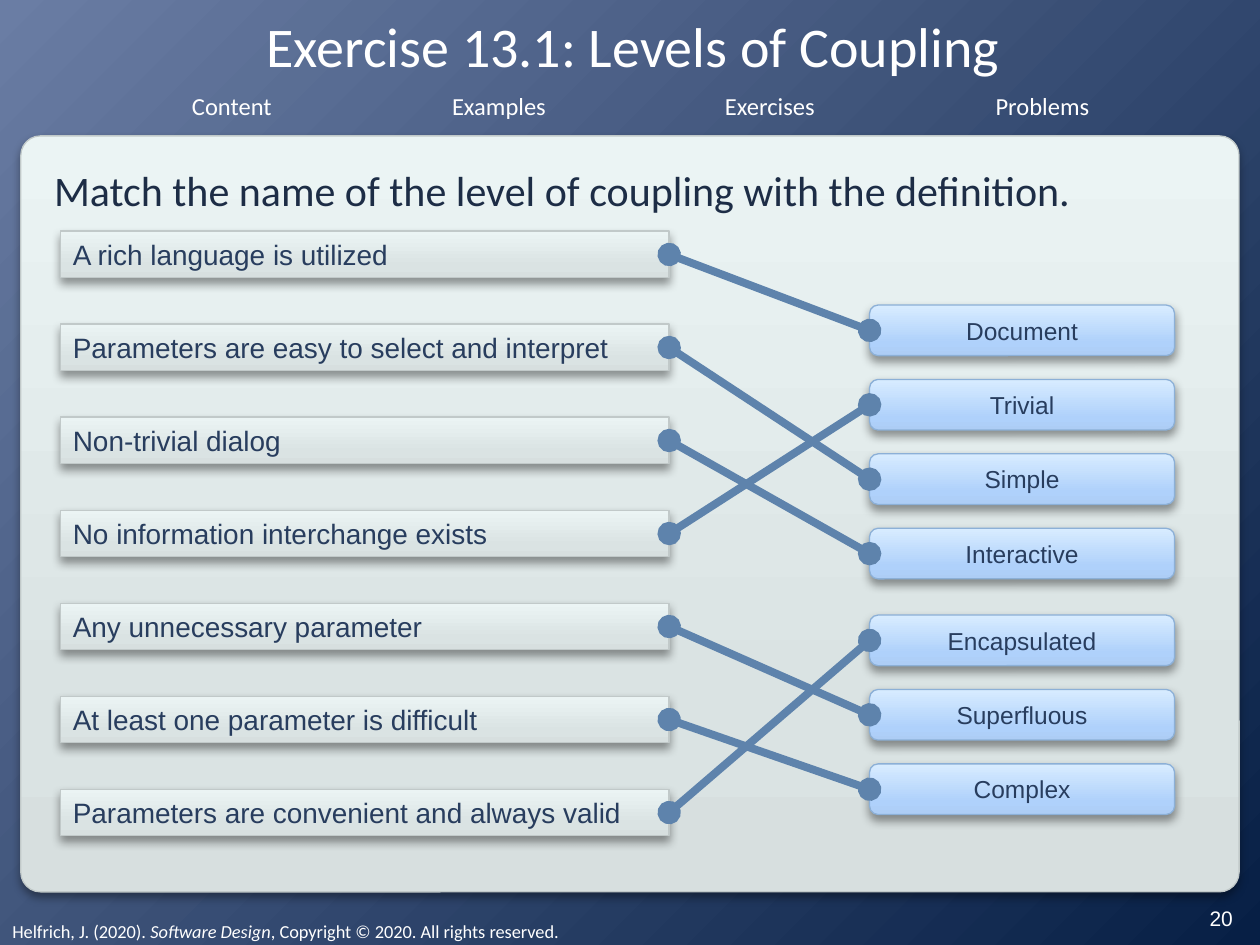
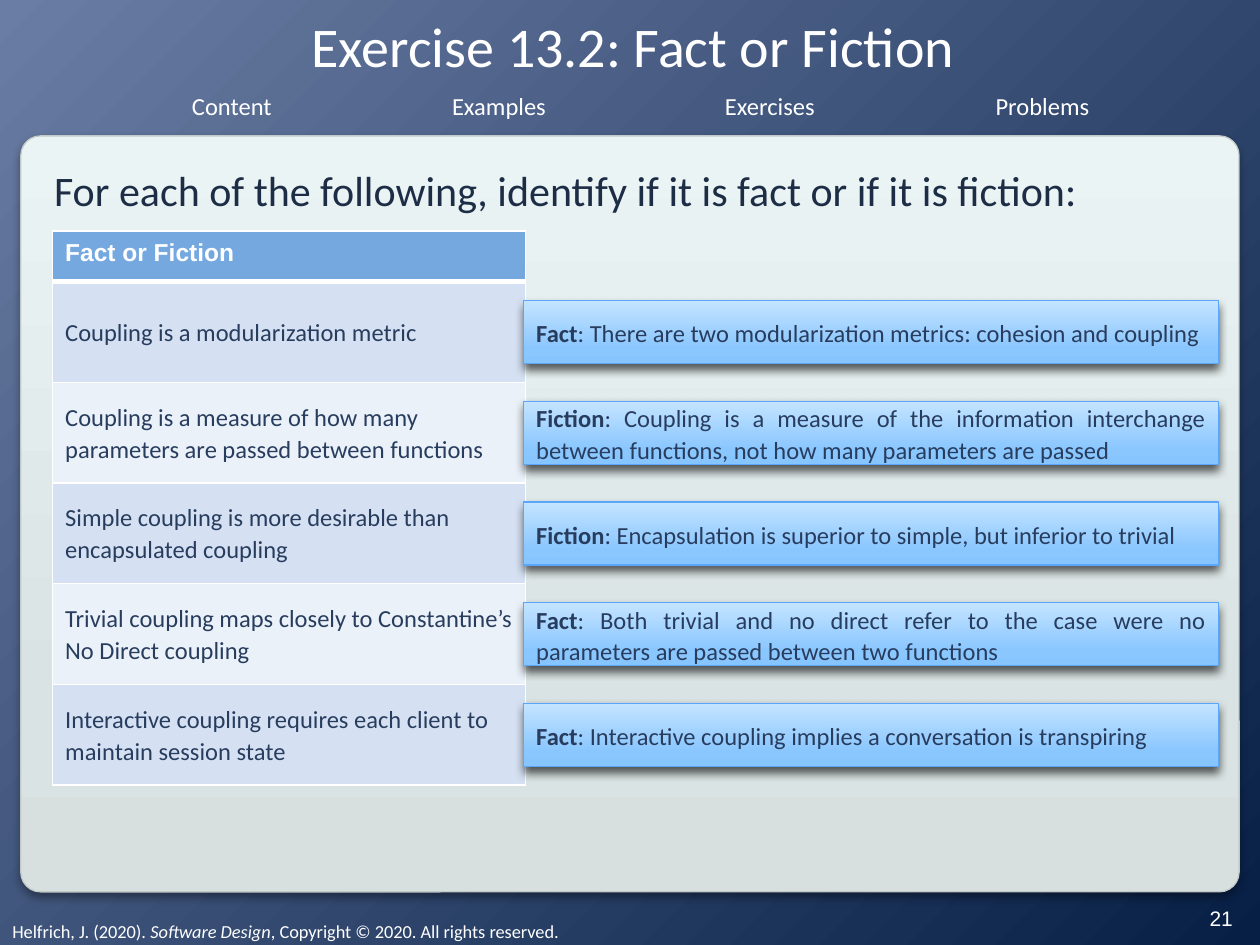
from lxml.etree import SubElement
from pptx import Presentation
from pptx.dml.color import RGBColor
from pptx.enum.shapes import MSO_CONNECTOR, MSO_SHAPE
from pptx.enum.text import MSO_ANCHOR as Anchor, PP_ALIGN as Align
from pptx.oxml.ns import qn
from pptx.util import Cm, Pt

WHITE = RGBColor(0xFF, 0xFF, 0xFF)
INK = RGBColor(0x28, 0x3D, 0x5E)
PROMPT_INK = RGBColor(0x1D, 0x2D, 0x46)
LINK_BLUE = RGBColor(0x5E, 0x83, 0xAC)
HEADER_BLUE = RGBColor(0x76, 0xA8, 0xE0)
BAND_DARK = RGBColor(0xD5, 0xE1, 0xF3)
BAND_LIGHT = RGBColor(0xEB, 0xF1, 0xF9)
BACKDROP = ((0, RGBColor(0x6A, 0x7D, 0xA4)), (100, RGBColor(0x07, 0x1F, 0x45)))

# Each surface: gradient stops from bottom to top, then the outline colour.
MIST = (((0, RGBColor(0xD7, 0xDF, 0xDF)), (25, RGBColor(0xDA, 0xE3, 0xE3)),
         (100, RGBColor(0xEB, 0xF4, 0xF4))), RGBColor(0xC1, 0xC9, 0xC9))
SKY = (((0, RGBColor(0xAD, 0xCD, 0xF5)), (25, RGBColor(0xAF, 0xD1, 0xFB)),
        (100, RGBColor(0xD8, 0xEC, 0xFF))), RGBColor(0x8C, 0xB0, 0xD7))
AZURE = (((0, RGBColor(0x87, 0xC5, 0xFF)), (25, RGBColor(0x8B, 0xC7, 0xFF)),
          (100, RGBColor(0xC4, 0xE4, 0xFF))), RGBColor(0x5B, 0xA6, 0xFA))

HEADING, BODY = "Calibri", "Arial"
SECTIONS = (("Content", 3.61, 2.13), ("Examples", 8.84, 2.44),
            ("Exercises", 14.35, 2.34), ("Problems", 19.81, 2.41))
CREDIT = (("Helfrich, J. (2020). ", ""), ("Software Design", "i"),
          (", Copyright © 2020. All rights reserved.", ""))

DEFINITIONS = (
    ("A rich language is utilized", "Document"),
    ("Parameters are easy to select and interpret", "Simple"),
    ("Non-trivial dialog", "Interactive"),
    ("No information interchange exists", "Trivial"),
    ("Any unnecessary parameter", "Superfluous"),
    ("At least one parameter is difficult", "Complex"),
    ("Parameters are convenient and always valid", "Encapsulated"),
)
LEVELS = ("Document", "Trivial", "Simple", "Interactive",
          "Encapsulated", "Superfluous", "Complex")
STATEMENTS = (
    ("Coupling is a modularization metric", "Fact",
     "There are two modularization metrics: cohesion and coupling"),
    ("Coupling is a measure of how many parameters are passed between functions",
     "Fiction", "Coupling is a measure of the information interchange between "
     "functions, not how many parameters are passed"),
    ("Simple coupling is more desirable than encapsulated coupling", "Fiction",
     "Encapsulation is superior to simple, but inferior to trivial"),
    ("Trivial coupling maps closely to Constantine’s No Direct coupling", "Fact",
     "Both trivial and no direct refer to the case were no parameters are "
     "passed between two functions"),
    ("Interactive coupling requires each client to maintain session state", "Fact",
     "Interactive coupling implies a conversation is transpiring"),
)


def add_color(parent, color, opacity=100):
    node = SubElement(parent, qn("a:srgbClr"), val=str(color))
    if opacity < 100:
        SubElement(node, qn("a:alpha"), val=str(opacity * 1000))


def paint_gradient(fill, owner, stops, from_corner=False):
    """Fill upwards, or outwards from the top left corner."""
    fill.gradient()
    gradient = owner.find(".//" + qn("a:gradFill"))
    gradient.clear()
    stop_list = SubElement(gradient, qn("a:gsLst"))
    for position, color in stops:
        add_color(SubElement(stop_list, qn("a:gs"), pos=str(position * 1000)), color)
    if from_corner:
        focus = SubElement(gradient, qn("a:path"), path="circle")
        SubElement(focus, qn("a:fillToRect"), r="100000", b="100000")
    else:
        SubElement(gradient, qn("a:lin"), ang="16200000", scaled="0")


def write(frame, spans, size, color, font, align=Align.LEFT, anchor=Anchor.MIDDLE,
          spacing=None, margins=(0.25, 0.13)):
    """Write one paragraph; spans is a string or pairs of text and "", "b" or "i"."""
    frame.word_wrap = True
    frame.vertical_anchor = anchor
    frame.margin_left = frame.margin_right = Cm(margins[0])
    frame.margin_top = frame.margin_bottom = Cm(margins[1])
    style_paragraph(frame.paragraphs[0], spans, size, color, font, align, spacing)


def style_paragraph(paragraph, spans, size, color, font, align=Align.LEFT, spacing=None):
    paragraph.alignment = align
    paragraph.line_spacing = spacing
    paragraph.font.size = Pt(size)
    paragraph.font.name = font
    paragraph.font.color.rgb = color
    for text, emphasis in ([(spans, "")] if isinstance(spans, str) else spans):
        run = paragraph.add_run()
        run.text = text
        if emphasis:
            run.font.bold = emphasis == "b"
            run.font.italic = emphasis == "i"


class Deck:
    def __init__(self):
        self.presentation = Presentation()
        self.presentation.slide_width = Cm(25.4)
        self.presentation.slide_height = Cm(19.05)
        self.slide = None

    def start(self, title, prompt, number):
        """Begin a slide with the frame that all exercises share."""
        blank = self.presentation.slide_layouts[6]
        self.slide = self.presentation.slides.add_slide(blank)
        paint_gradient(self.slide.background.fill, self.slide._element, BACKDROP, True)
        panel = self.box((0.42, 2.74, 24.56, 15.24), MIST, MSO_SHAPE.ROUNDED_RECTANGLE)
        panel.adjustments[0] = 0.026
        self.text((0, 18.42, 22.86, 0.74), CREDIT, 10.5, anchor=Anchor.TOP)
        for section, left, width in SECTIONS:
            self.text((left, 1.7, width, 0.86), section, 14, align=Align.CENTER)
        self.text((0.56, 0.28, 24.41, 1.27), title, 32, align=Align.CENTER,
                  margins=(0, 0))
        self.text((0.84, 3.18, 23.7, 1.5), prompt, 24, PROMPT_INK, anchor=Anchor.TOP)
        self.text((23.77, 17.98, 1.7, 1.07), str(number), 12, font=BODY,
                  align=Align.CENTER)

    def text(self, place, spans, size, color=WHITE, font=HEADING, **layout):
        area = self.slide.shapes.add_textbox(*map(Cm, place))
        write(area.text_frame, spans, size, color, font, **layout)

    def box(self, place, surface, outline=MSO_SHAPE.RECTANGLE, shade=40):
        """Add a raised box; shade is the opacity of its shadow in percent."""
        stops, edge = surface
        shape = self.slide.shapes.add_shape(outline, *map(Cm, place))
        shape._element.remove(shape._element.find(qn("p:style")))
        paint_gradient(shape.fill, shape._element, stops)
        shape.line.color.rgb = edge
        shape.line.width = Pt(0.75)
        shape.shadow.inherit = False
        effects = shape._element.spPr.find(qn("a:effectLst"))
        shadow = SubElement(effects, qn("a:outerShdw"), blurRad=str(Pt(5.2)),
                            dist=str(Pt(3)), dir="5400000", rotWithShape="0")
        add_color(shadow, "000000", shade)
        return shape

    def match(self, start, end):
        """Join two points with a line that has round ends."""
        link = self.slide.shapes.add_connector(MSO_CONNECTOR.STRAIGHT,
                                               *map(Cm, start + end))
        link.line.color.rgb = LINK_BLUE
        link.line.width = Pt(4.5)
        ends = link.line._get_or_add_ln()
        SubElement(ends, qn("a:headEnd"), type="oval")
        SubElement(ends, qn("a:tailEnd"), type="oval")
        SubElement(link._element.spPr, qn("a:effectLst"))

    def table(self, place, header, rows, header_height, row_height):
        grid = self.slide.shapes.add_table(len(rows) + 1, 1, *map(Cm, place)).table
        properties = grid._tbl.tblPr
        properties.remove(properties.find(qn("a:tableStyleId")))
        grid.horz_banding = False
        for index, content in enumerate((header, *rows)):
            is_header = index == 0
            grid.rows[index].height = Cm(header_height if is_header else row_height)
            cell = grid.cell(index, 0)
            self.borders(cell, top=3 if index == 1 else 1, bottom=3 if is_header else 1)
            cell.fill.solid()
            cell.fill.fore_color.rgb = (HEADER_BLUE if is_header else
                                        BAND_DARK if index % 2 else BAND_LIGHT)
            cell.vertical_anchor = Anchor.TOP if is_header else Anchor.MIDDLE
            spans = ((content, "b"),) if is_header else content
            style_paragraph(cell.text_frame.paragraphs[0], spans, 14,
                            WHITE if is_header else INK,
                            BODY if is_header else HEADING, spacing=1.07)

    @staticmethod
    def borders(cell, top, bottom):
        properties = cell._tc.get_or_add_tcPr()
        for side, width in (("L", 1), ("R", 1), ("T", top), ("B", bottom)):
            line = SubElement(properties, qn("a:ln" + side), w=str(Pt(width)))
            add_color(SubElement(line, qn("a:solidFill")), WHITE)


def build_matching(deck):
    deck.start("Exercise 13.1: Levels of Coupling",
               "Match the name of the level of coupling with the definition.", 20)
    definition_left, definition_width, definition_height = 1.22, 12.27, 0.94
    level_left, level_width, level_height = 17.53, 6.15, 1.02
    for row, (definition, level) in enumerate(DEFINITIONS):
        rank = LEVELS.index(level)
        level_top = 6.15 + 1.5 * rank + (0.25 if rank > 3 else 0)
        definition_top = 4.66 + 1.875 * row
        name = deck.box((level_left, level_top, level_width, level_height), SKY,
                        MSO_SHAPE.ROUNDED_RECTANGLE)
        write(name.text_frame, level, 14, INK, BODY, Align.CENTER)
        meaning = deck.box((definition_left, definition_top, definition_width,
                            definition_height), MIST)
        write(meaning.text_frame, definition, 16, INK, BODY)
        deck.match((definition_left + definition_width,
                    definition_top + definition_height / 2),
                   (level_left, level_top + level_height / 2))


def build_fact_or_fiction(deck):
    deck.start("Exercise 13.2: Fact or Fiction",
               "For each of the following, identify if it is fact or if it is fiction:",
               21)
    header_height, row_height = 1.02, 2.03
    deck.table((1.06, 4.66, 9.53, header_height + row_height * len(STATEMENTS)),
               "Fact or Fiction", [statement for statement, *_ in STATEMENTS],
               header_height, row_height)
    for row, (_, verdict, reason) in enumerate(STATEMENTS):
        answer = deck.box((10.56, 6.06 + row_height * row, 14, 1.27), AZURE, shade=64)
        write(answer.text_frame, ((verdict, "b"), (": " + reason, "")), 14, INK, HEADING,
              Align.JUSTIFY, spacing=1.07, margins=(0.25, 0))


def main():
    deck = Deck()
    build_matching(deck)
    build_fact_or_fiction(deck)
    deck.presentation.save("out.pptx")


if __name__ == "__main__":
    main()
